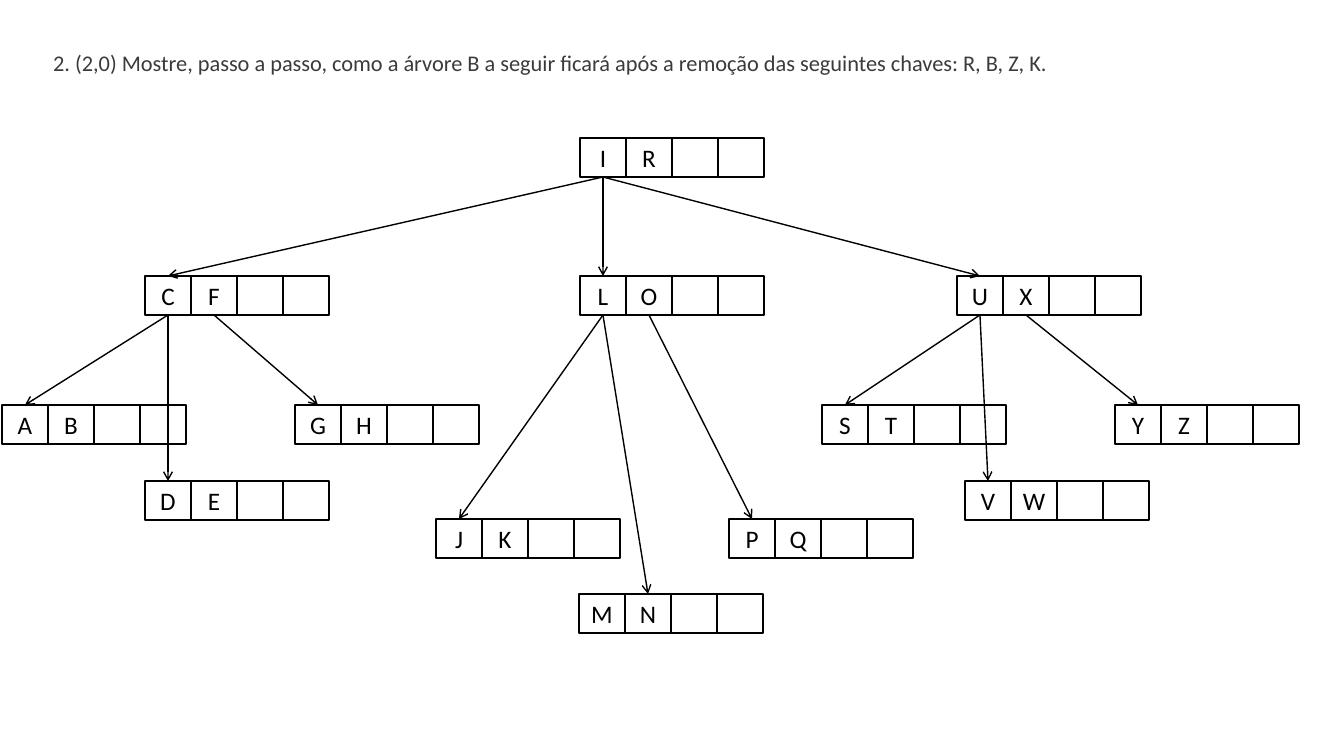
from lxml.etree import SubElement
from pptx import Presentation
from pptx.dml.color import RGBColor as Rgb
from pptx.enum.shapes import MSO_CONNECTOR as Connector, MSO_SHAPE as Shape
from pptx.enum.text import MSO_ANCHOR as Anchor, MSO_AUTO_SIZE as AutoSize, PP_ALIGN as Align
from pptx.oxml.ns import qn
from pptx.util import Pt

THEME = {
    "font": "Calibri",
    "ink": Rgb(0x00, 0x00, 0x00),
    "question": Rgb(0x3B, 0x3B, 0x3B),
    "question_size": Pt(16),
    "key_size": Pt(18),
    "line": Pt(1),
}
SCALE = 914400 / 100.8
CELL_W, CELL_H, CELLS = 46, 39, 4
BOTTOM, TOP = 2, 0

NODES = [
    ("IR", 580, 138),
    ("LO", 580, 276),
    ("CF", 145, 276),
    ("UX", 957, 276),
    ("DE", 145, 481),
    ("AB", 2, 405),
    ("GH", 295, 405),
    ("MN", 579, 594),
    ("JK", 436, 519),
    ("PQ", 729, 519),
    ("VW", 965, 481),
    ("ST", 822, 405),
    ("YZ", 1115, 405),
]
BRANCHES = ["IL", "IC", "IU", "LJ", "OP", "LN", "CA", "CD", "FG", "US", "UV", "XY"]


def px(*lengths):
    return [round(length * SCALE) for length in lengths]


def set_text(frame, text, size, color, align):
    frame.text = text
    paragraph = frame.paragraphs[0]
    paragraph.alignment = align
    paragraph.font.name = THEME["font"]
    paragraph.font.size = size
    paragraph.font.color.rgb = color


deck = Presentation()
deck.slide_width, deck.slide_height = px(1344, 756)
slide = deck.slides.add_slide(deck.slide_layouts[5])

question = slide.shapes.title
question.left, question.top, question.width, question.height = px(43, 44, 1256, 37)
question.text_frame.word_wrap = True
question.text_frame.auto_size = AutoSize.NONE
question.text_frame.vertical_anchor = Anchor.TOP
set_text(
    question.text_frame,
    "2. (2,0) Mostre, passo a passo, como a árvore B a seguir ficará após a remoção das seguintes chaves: R, B, Z, K.",
    THEME["question_size"], THEME["question"], Align.LEFT,
)

key_cells = {}
for keys, left, top in NODES:
    for slot in range(CELLS):
        cell = slide.shapes.add_shape(
            Shape.RECTANGLE, *px(left + slot * CELL_W, top, CELL_W, CELL_H))
        cell.shadow.inherit = False
        cell.fill.background()
        cell.line.color.rgb = THEME["ink"]
        cell.line.width = THEME["line"]
        if slot < len(keys):
            frame = cell.text_frame
            frame.margin_left = frame.margin_right = 0
            frame.vertical_anchor = Anchor.MIDDLE
            set_text(frame, keys[slot], THEME["key_size"], THEME["ink"], Align.CENTER)
            key_cells[keys[slot]] = cell

for parent, child in BRANCHES:
    branch = slide.shapes.add_connector(Connector.STRAIGHT, 0, 0, 0, 0)
    branch.begin_connect(key_cells[parent], BOTTOM)
    branch.end_connect(key_cells[child], TOP)
    branch.line.color.rgb = THEME["ink"]
    branch.line.width = THEME["line"]
    SubElement(branch.line._get_or_add_ln(), qn("a:tailEnd"), type="arrow")
    SubElement(branch._element.spPr, qn("a:effectLst"))

deck.save("out.pptx")
